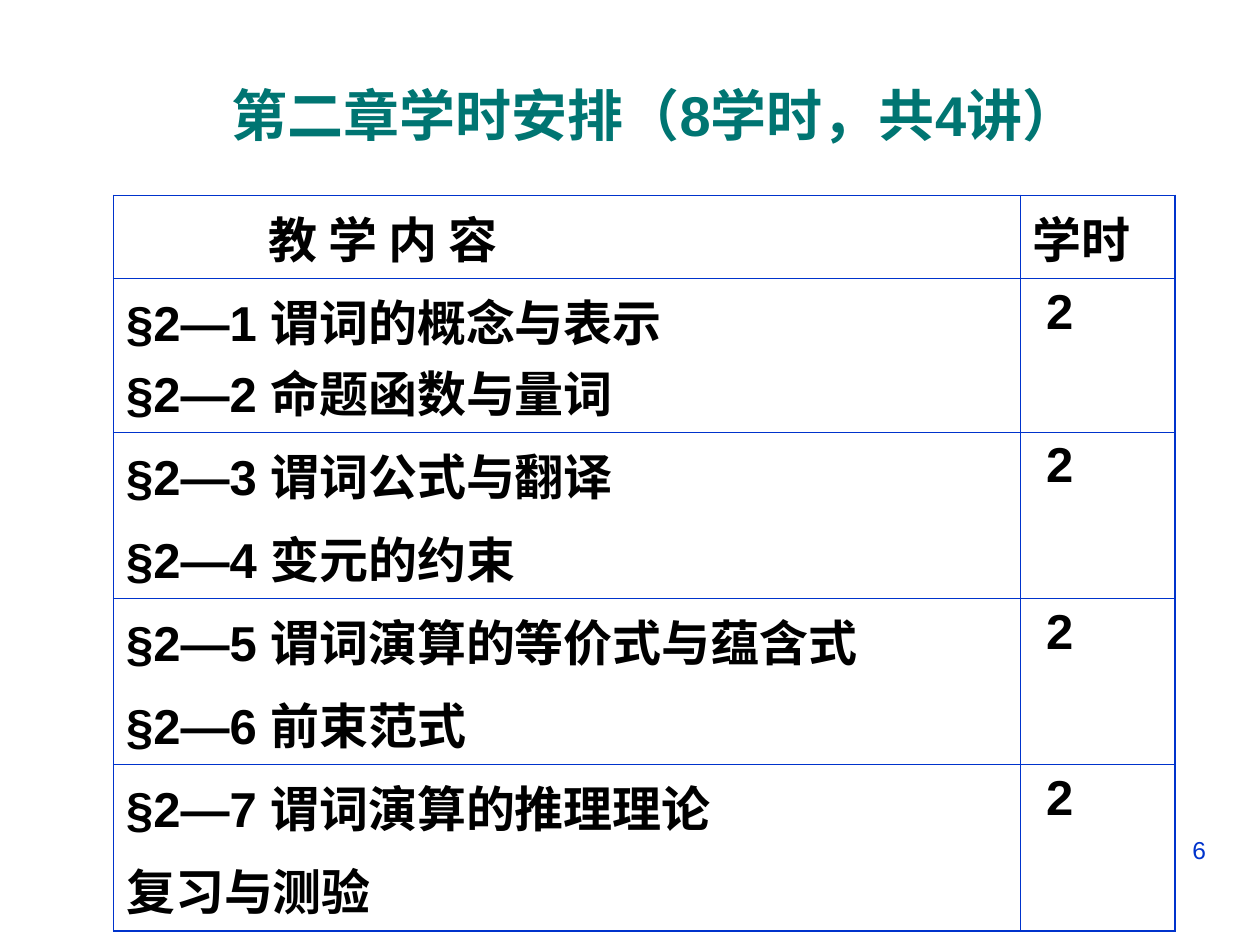
from lxml import etree
from pptx import Presentation
from pptx import util as u
from pptx.dml.color import RGBColor
from pptx.enum import text
from pptx.oxml.ns import qn

BLUE, TEAL, BLACK = "0033CC", "007572", "000000"
THIN, THICK = 0.45, 1.08
HEADER = ("教 学 内 容", "学时")
LESSONS = [
    ("§2—1 谓词的概念与表示\v§2—2 命题函数与量词", "2"),
    ("§2—3 谓词公式与翻译\n§2—4 变元的约束", "2"),
    ("§2—5 谓词演算的等价式与蕴含式\n§2—6 前束范式", "2"),
    ("§2—7 谓词演算的推理理论\n复习与测验", "2"),
]


def rgb(value):
    """Turn a hex string into a colour."""
    return RGBColor.from_string(value)


def format_text(tf, size, color, bold=False, align=text.PP_ALIGN.LEFT, indent=0):
    """Format every run of a text frame and indent its paragraphs."""
    for i, p in enumerate(tf.paragraphs):
        p.alignment = align
        p.space_before = u.Pt(7 if i else 0)
        p._p.get_or_add_pPr().set("marL", str(u.Cm(indent)))
        for r in p.runs:
            r.font.name, r.font.size, r.font.bold = "Arial", u.Pt(size), bold
            r.font.color.rgb = rgb(color)


def add_label(slide, box, words, anchor, **style):
    """Place a wrapped text box in the given box."""
    sp = slide.shapes.add_textbox(*map(u.Cm, box))
    tf = sp.text_frame
    tf.word_wrap = True
    tf.vertical_anchor = anchor
    tf.text = words
    format_text(tf, **style)


def set_borders(cell, widths):
    """Draw the left, right, top and bottom borders of a cell."""
    tc_pr = cell._tc.get_or_add_tcPr()
    for side, width in zip("LRTB", widths):
        ln = etree.SubElement(tc_pr, qn(f"a:ln{side}"), w=str(u.Pt(width)))
        fill = etree.SubElement(ln, qn("a:solidFill"))
        etree.SubElement(fill, qn("a:srgbClr"), val=BLUE)


def add_schedule(slide, box, col_shares, row_shares):
    """Place the table of lessons and hours in the given box."""
    left, top, width, height = box
    rows = [HEADER, *LESSONS]
    table = slide.shapes.add_table(len(rows), len(HEADER), *map(u.Cm, box)).table
    table.first_row = table.horz_banding = False
    for col, share in zip(table.columns, col_shares):
        col.width = u.Cm(width * share / sum(col_shares))
    for row, share in zip(table.rows, row_shares):
        row.height = u.Cm(height * share / sum(row_shares))
    for i, row in enumerate(rows):
        for j, words in enumerate(row):
            cell = table.cell(i, j)
            cell.text = words
            if i == 0:
                indent = 0 if j else 2.87
            else:
                indent = 0.27 if j else 0
            format_text(cell.text_frame, 28, BLACK, True, indent=indent)
            outer = (j == 0, j == len(row) - 1, i == 0, i == len(rows) - 1)
            set_borders(cell, [THICK if edge else THIN for edge in outer])
            cell.fill.background()


def main():
    """Build the slide and save it."""
    prs = Presentation()
    prs.slide_width, prs.slide_height = u.Cm(25.4), u.Cm(19.05)
    slide = prs.slides.add_slide(prs.slide_layouts[6])
    add_label(slide, (18.21, 16.71, 6.35, 1.32), "6", text.MSO_ANCHOR.TOP,
              size=14, color=BLUE, align=text.PP_ALIGN.RIGHT)
    add_label(slide, (0.84, 0.71, 23.72, 3.18), "第二章学时安排（8学时，共4讲）",
              text.MSO_ANCHOR.MIDDLE, size=32, color=TEAL, bold=True,
              align=text.PP_ALIGN.CENTER, indent=1)
    add_schedule(slide, (2.29, 3.94, 21.4, 14.83), (7.19, 1.23),
                 (0.66, 1.22, 1.32, 1.32, 1.32))
    prs.save("out.pptx")


if __name__ == "__main__":
    main()
